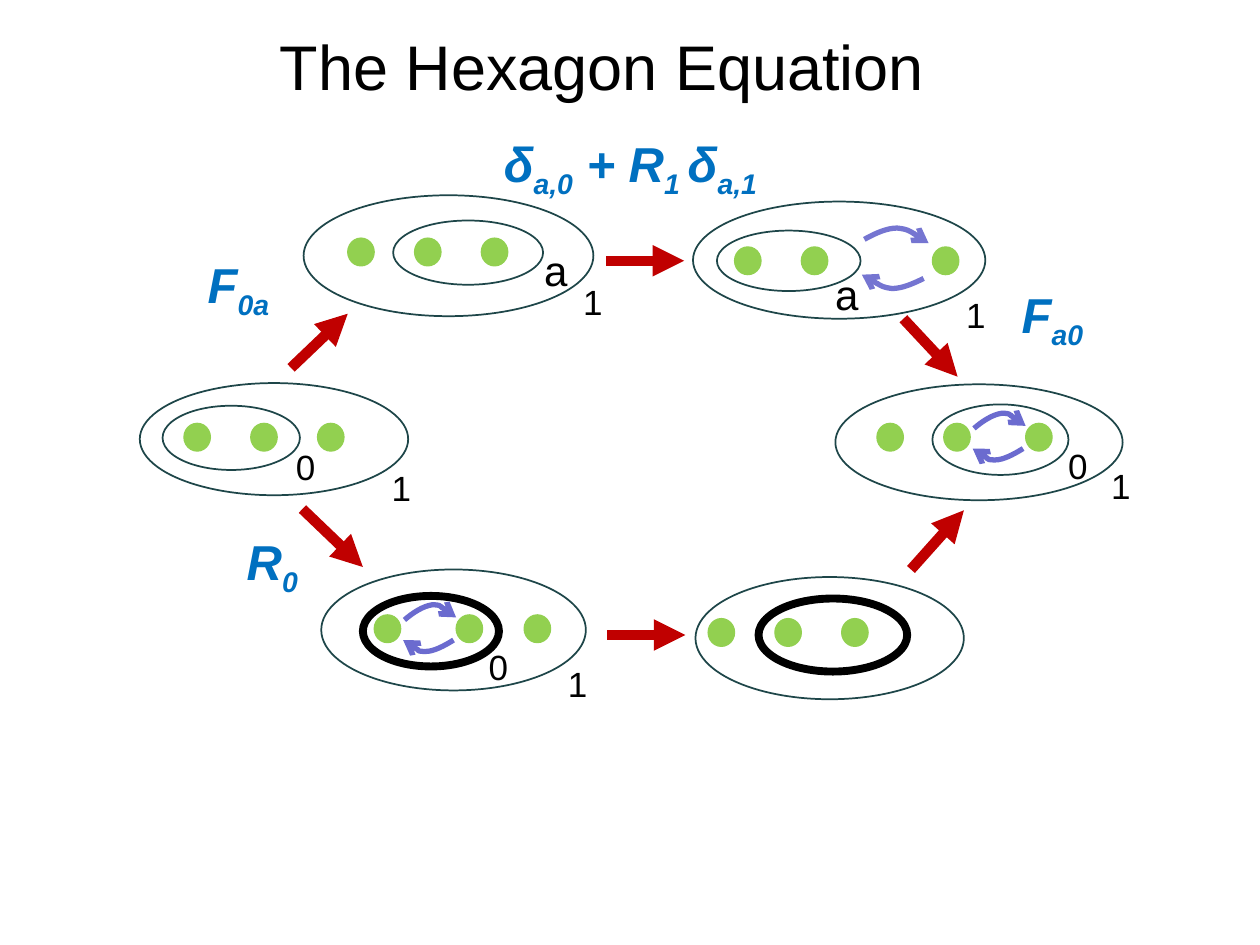
import pptx
import pptx.util
import pptx.dml.color
import pptx.enum.shapes
import pptx.enum.text
import pptx.oxml.ns
from lxml import etree

HUES = {"ink": "000000", "edge": "1E4649", "dot": "92D050", "step": "C00000",
        "label": "0070C0", "wide": "7575D1", "small": "6B6BCF"}
COLS, ROWS = 100, 75
qn = pptx.oxml.ns.qn

# Curved swap arrows: offset of the lower start, then both arcs' offsets from their starts.
SWAPS = {
    "wide": ((4.7, 3.1),
             [(.9, -.5), (1.8, -.9), (2.6, -.9), (3.5, -.8), (4.3, -.3), (5.1, .3)],
             [(-.8, .4), (-1.7, .8), (-2.5, .8), (-3.3, .7), (-4.1, .2), (-4.9, -.3)]),
    "small": ((3.9, 1.6),
              [(.7, -.6), (1.5, -1.1), (2.2, -1.2), (2.9, -1.2), (3.5, -.7), (4.1, -.2)],
              [(-.8, .5), (-1.6, .9), (-2.2, .9), (-2.9, .9), (-3.4, .5), (-4, 0)]),
}

# Each state: outer oval, inner ring, ring is bold, top of dots, lefts of dots, swap arrows.
STATES = [
    ((24.1, 15.5, 23, 9.6), (31.2, 17.5, 11.9, 5.1), False, 18.9, (27.6, 32.9, 38.2), None),
    ((55, 16, 23.2, 9.3), (56.9, 18.3, 11.4, 4.8), False, 19.6, (58.3, 63.6, 74),
     ("wide", 68.6, 19)),
    ((66.3, 30.5, 22.8, 9.2), (74, 32.1, 10.8, 5.6), False, 33.6, (69.6, 74.9, 81.4),
     ("small", 77.3, 34)),
    ((11.1, 30.4, 21.3, 8.9), (12.9, 32.2, 10.9, 5.1), False, 33.6, (14.6, 19.9, 25.2), None),
    ((25.5, 45.2, 21, 9.6), (28.8, 47.3, 10.8, 5.6), True, 48.8, (29.7, 36.2, 41.6),
     ("small", 32.1, 49.2)),
    ((55.2, 45.8, 21.3, 9.7), (60.2, 47.5, 11.8, 5.8), True, 49.1, (56.2, 61.5, 66.8), None),
]
STEPS = [(23.1, 29.2, 27.6, 24.9), (48.1, 20.7, 54.3, 20.7), (71.7, 25.3, 76, 29.9),
         (24, 40.4, 28.8, 45), (48.2, 50.4, 54.4, 50.4), (72.3, 45.2, 76.5, 40.5)]
CHARGES = [("0", 22.5, 34.9), ("1", 30.1, 36.5), ("0", 83.8, 34.8), ("1", 87.2, 36.4),
           ("a", 42.2, 18.9), ("1", 45.3, 21.8), ("1", 75.7, 22.8), ("a", 65.3, 20.8),
           ("0", 37.8, 50.7), ("1", 44.1, 52.1)]
MOVES = [("F|0a", 15.5, 19.7, 7.3), ("δ|a,0| + R|1 |δ|a,1", 39, 10.1, 28.3),
         ("F|a0", 80.1, 22.1, 7.3), ("R|0", 18.6, 41.7, 6.3)]


def rgb(name):
    return pptx.dml.color.RGBColor.from_string(HUES[name])


def write(frame, text, size=20, hue="ink", strong=False):
    """Fill a frame with text; every second part between bars is a subscript."""
    frame.word_wrap = False
    frame.auto_size = pptx.enum.text.MSO_AUTO_SIZE.NONE
    frame.vertical_anchor = pptx.enum.text.MSO_ANCHOR.TOP
    para = frame.paragraphs[0]
    para.alignment = pptx.enum.text.PP_ALIGN.LEFT
    for i, part in enumerate(text.split("|")):
        run = para.add_run()
        run.text = part
        font = run.font
        font.name, font.size = "Arial", pptx.util.Pt(size)
        font.bold = font.italic = strong
        font.color.rgb = rgb(hue)
        if i % 2:
            run._r.get_or_add_rPr().set("baseline", "-25000")


class Board:
    """Holds the slide; lengths are in columns and rows of a 100 by 75 grid."""

    def __init__(self, deck):
        self.wide, self.high = deck.slide_width, deck.slide_height
        self.slide = deck.slides.add_slide(deck.slide_layouts[5])
        self.group = self.slide.shapes.add_group_shape().shapes

    def emu(self, *nums):
        """Turn alternating columns and rows into slide units."""
        return [round(n * (self.high / ROWS if i % 2 else self.wide / COLS))
                for i, n in enumerate(nums)]

    def stroke(self, shape, hue, width, head=None):
        shape.line.color.rgb = rgb(hue)
        shape.line.width = pptx.util.Pt(width)
        if head:
            etree.SubElement(shape.line._get_or_add_ln(), qn("a:tailEnd"), type=head)

    def title(self, text, *box):
        shape = self.slide.shapes.title
        shape.left, shape.top, shape.width, shape.height = self.emu(*box)
        write(shape.text_frame, text, size=36)

    def label(self, text, *box, **style):
        shape = self.slide.shapes.add_textbox(*self.emu(*box))
        write(shape.text_frame, text, **style)

    def oval(self, box, hue="edge", width=1, full=False):
        kind = pptx.enum.shapes.MSO_SHAPE.OVAL
        shape = self.group.add_shape(kind, *self.emu(*box))
        shape.shadow.inherit = False
        if full:
            shape.fill.solid()
            shape.fill.fore_color.rgb = rgb(hue)
        else:
            shape.fill.background()
        self.stroke(shape, hue, width)

    def step(self, *ends):
        kind = pptx.enum.shapes.MSO_CONNECTOR.STRAIGHT
        line = self.group.add_connector(kind, *self.emu(*ends))
        self.stroke(line, "step", 6, "triangle")
        etree.SubElement(line._element.spPr, qn("a:effectLst"))

    def arc(self, x, y, bends, hue):
        """Draw a curved arrow through two cubic pieces."""
        pen = self.group.build_freeform(*self.emu(x, y))
        pen.add_line_segments([self.emu(x + dx, y + dy) for dx, dy in bends], close=False)
        shape = pen.convert_to_shape()
        shape.shadow.inherit = False
        shape.fill.background()
        self.stroke(shape, hue, 3, "arrow")
        lines = list(shape._element.iter(qn("a:lnTo")))
        route = lines[0].getparent()
        for i in range(0, len(lines), 3):
            curve = etree.SubElement(route, qn("a:cubicBezTo"))
            for line in lines[i:i + 3]:
                curve.append(line[0])
                route.remove(line)

    def swap(self, kind, x, y):
        (dx, dy), upper, lower = SWAPS[kind]
        self.arc(x, y, upper, kind)
        self.arc(x + dx, y + dy, lower, kind)

    def state(self, outer, ring, bold, top, lefts, swap):
        self.oval(outer)
        for left in lefts:
            self.oval((left, top, 2.1, 2.2), "dot", 0.75, full=True)
        self.oval(ring, *(("ink", 4.5) if bold else ("edge", 1)))
        if swap:
            self.swap(*swap)


def main():
    deck = pptx.Presentation()
    deck.slide_width, deck.slide_height = pptx.util.Inches(10), pptx.util.Inches(7.5)
    board = Board(deck)
    board.title("The Hexagon Equation", 21.2, 1.7, 53.6, 7.1)
    for state in STATES:
        board.state(*state)
    for ends in STEPS:
        board.step(*ends)
    for text, x, y in CHARGES:
        if text == "a":
            board.label(text, x, y, 3.9, 5, size=24)
        else:
            board.label(text, x, y, 3.6, 4.4)
    for text, x, y, width in MOVES:
        board.label(text, x, y, width, 5.7, size=28, hue="label", strong=True)
    deck.save("out.pptx")


if __name__ == "__main__":
    main()
